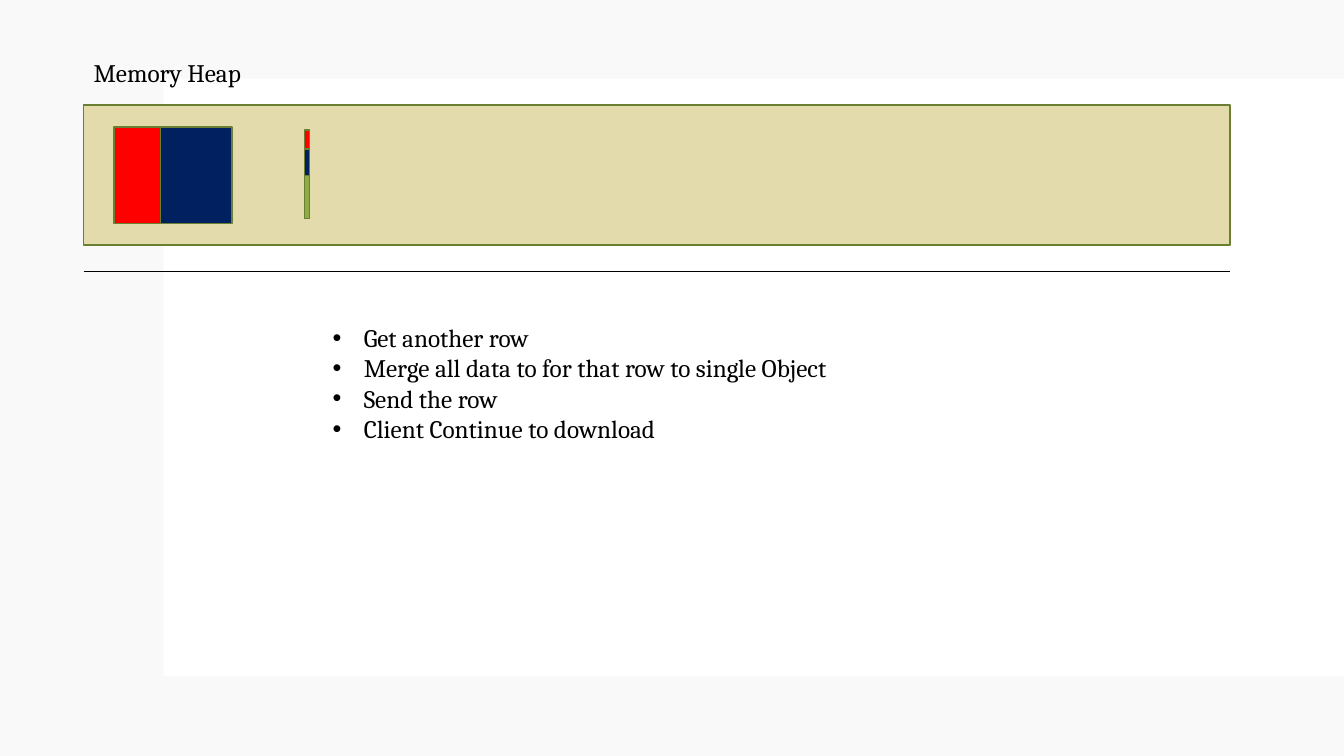
"""Build the memory heap slide with its bar of blocks and list of steps."""
from typing import NamedTuple, Optional

from lxml.etree import SubElement
from pptx import Presentation
from pptx.dml.color import RGBColor
from pptx.enum.shapes import MSO_CONNECTOR, MSO_SHAPE
from pptx.enum.text import MSO_AUTO_SIZE
from pptx.oxml.ns import qn
from pptx.slide import Slide
from pptx.text.text import _Paragraph as Paragraph
from pptx.util import Inches, Pt

COLORS = {
    "backdrop": "F1F0F3",
    "panel": "FFFFFF",
    "heap": "E4DBAD",
    "outline": "6A7F32",
    "red": "FF0000",
    "navy": "002060",
    "green": "8FAB43",
    "ink": "000000",
}
FONT_FORMAT = {"name": "Cambria", "size": Pt(18)}
HEAP_LEFT, HEAP_WIDTH = 0.83, 11.37
BLOCK_LEFT, BLOCK_TOP, BLOCK_HEIGHT = 1.13, 1.26, 0.96
STRIP_LEFT, STRIP_TOP, STRIP_WIDTH = 3.02, 1.29, 0.05
RED_WIDTH, NAVY_WIDTH = 0.46, 0.71
RED_HEIGHT, NAVY_HEIGHT, GREEN_HEIGHT = 0.19, 0.26, 0.43
RULE_TOP = 2.69
BULLET_INDENT = 0.31


class Box(NamedTuple):
    """A filled rectangle, measured in inches."""

    left: float
    top: float
    width: float
    height: float
    fill: str
    outline: Optional[str] = "outline"
    opacity: int = 100


class Label(NamedTuple):
    """A text box, measured in inches, with one string per paragraph."""

    left: float
    top: float
    width: float
    height: float
    lines: list[str]
    bulleted: bool = False


BACKGROUND = [
    Box(0, 0, 13.33, 7.5, "backdrop", None, 35),
    Box(1.62, 0.78, 11.71, 5.93, "panel", None),
]
HEAP = [
    Box(HEAP_LEFT, 1.04, HEAP_WIDTH, 1.39, "heap"),
    Box(BLOCK_LEFT, BLOCK_TOP, RED_WIDTH, BLOCK_HEIGHT, "red"),
    Box(BLOCK_LEFT + RED_WIDTH, BLOCK_TOP, NAVY_WIDTH, BLOCK_HEIGHT, "navy"),
    Box(STRIP_LEFT, STRIP_TOP + RED_HEIGHT + NAVY_HEIGHT, STRIP_WIDTH, GREEN_HEIGHT, "green"),
    Box(STRIP_LEFT, STRIP_TOP, STRIP_WIDTH, RED_HEIGHT, "red"),
    Box(STRIP_LEFT, STRIP_TOP + RED_HEIGHT, STRIP_WIDTH, NAVY_HEIGHT, "navy"),
]
LABELS = [
    Label(HEAP_LEFT, 0.52, 3.68, 0.4, ["Memory Heap"]),
    Label(3.2, 3.15, 5.53, 1.31, [
        "Get another row",
        "Merge all data to for that row to single Object",
        "Send the row",
        "Client Continue to download",
    ], True),
]


def color(name: str) -> RGBColor:
    """Return the named colour."""
    return RGBColor.from_string(COLORS[name])


def draw_box(slide: Slide, box: Box) -> None:
    """Draw a rectangle with its fill, opacity and outline."""
    shape = slide.shapes.add_shape(MSO_SHAPE.RECTANGLE, *map(Inches, box[:4]))
    shape.shadow.inherit = False
    shape.fill.solid()
    shape.fill.fore_color.rgb = color(box.fill)
    if box.opacity < 100:
        rgb_element = shape.fill._xPr.find(f".//{qn('a:srgbClr')}")
        SubElement(rgb_element, qn("a:alpha"), val=str(box.opacity * 1000))
    if box.outline:
        shape.line.color.rgb = color(box.outline)
        shape.line.width = Pt(1)
    else:
        shape.line.fill.background()


def draw_rule(slide: Slide) -> None:
    """Draw the thin horizontal line under the heap."""
    ends = (HEAP_LEFT, RULE_TOP, HEAP_LEFT + HEAP_WIDTH, RULE_TOP)
    rule = slide.shapes.add_connector(MSO_CONNECTOR.STRAIGHT, *map(Inches, ends))
    rule.line.color.rgb = color("ink")
    rule.line.width = Pt(0.5)
    SubElement(rule._element.spPr, qn("a:effectLst"))


def add_bullet(paragraph: Paragraph) -> None:
    """Give the paragraph a hanging round bullet."""
    properties = paragraph._p.get_or_add_pPr()
    properties.set("marL", str(Inches(BULLET_INDENT)))
    properties.set("indent", str(-Inches(BULLET_INDENT)))
    SubElement(properties, qn("a:buFont"), typeface="Arial")
    SubElement(properties, qn("a:buChar"), char="•")


def draw_label(slide: Slide, label: Label) -> None:
    """Write the paragraphs of a label into a text box."""
    text_frame = slide.shapes.add_textbox(*map(Inches, label[:4])).text_frame
    text_frame.word_wrap = True
    text_frame.auto_size = MSO_AUTO_SIZE.SHAPE_TO_FIT_TEXT
    text_frame.text = "\n".join(label.lines)
    for paragraph in text_frame.paragraphs:
        if label.bulleted:
            add_bullet(paragraph)
        font = paragraph.runs[0].font
        for attribute, value in FONT_FORMAT.items():
            setattr(font, attribute, value)
        font.color.rgb = color("ink")


def main() -> None:
    """Build and save the slide."""
    presentation = Presentation()
    presentation.slide_width = Inches(13.33)
    presentation.slide_height = Inches(7.5)
    slide = presentation.slides.add_slide(presentation.slide_layouts[6])
    for box in BACKGROUND:
        draw_box(slide, box)
    draw_rule(slide)
    for box in HEAP:
        draw_box(slide, box)
    for label in LABELS:
        draw_label(slide, label)
    presentation.save("out.pptx")


if __name__ == "__main__":
    main()
